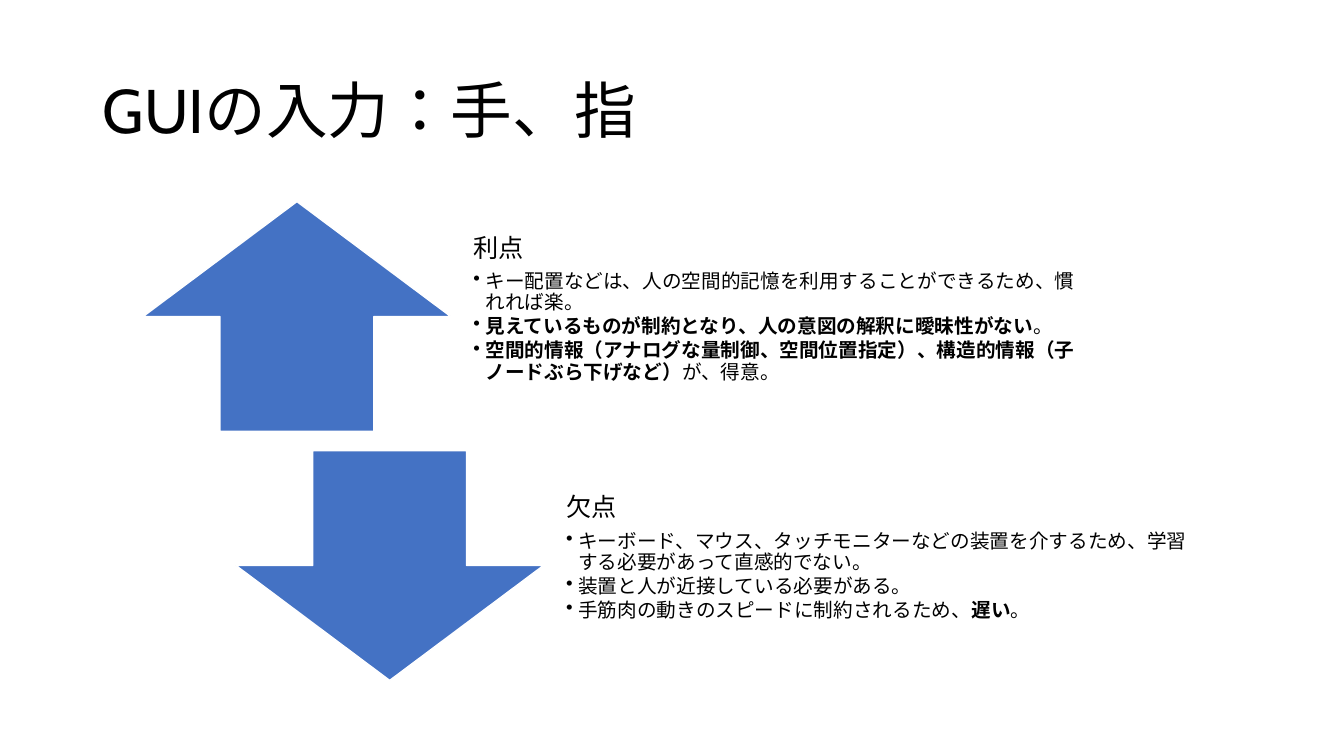
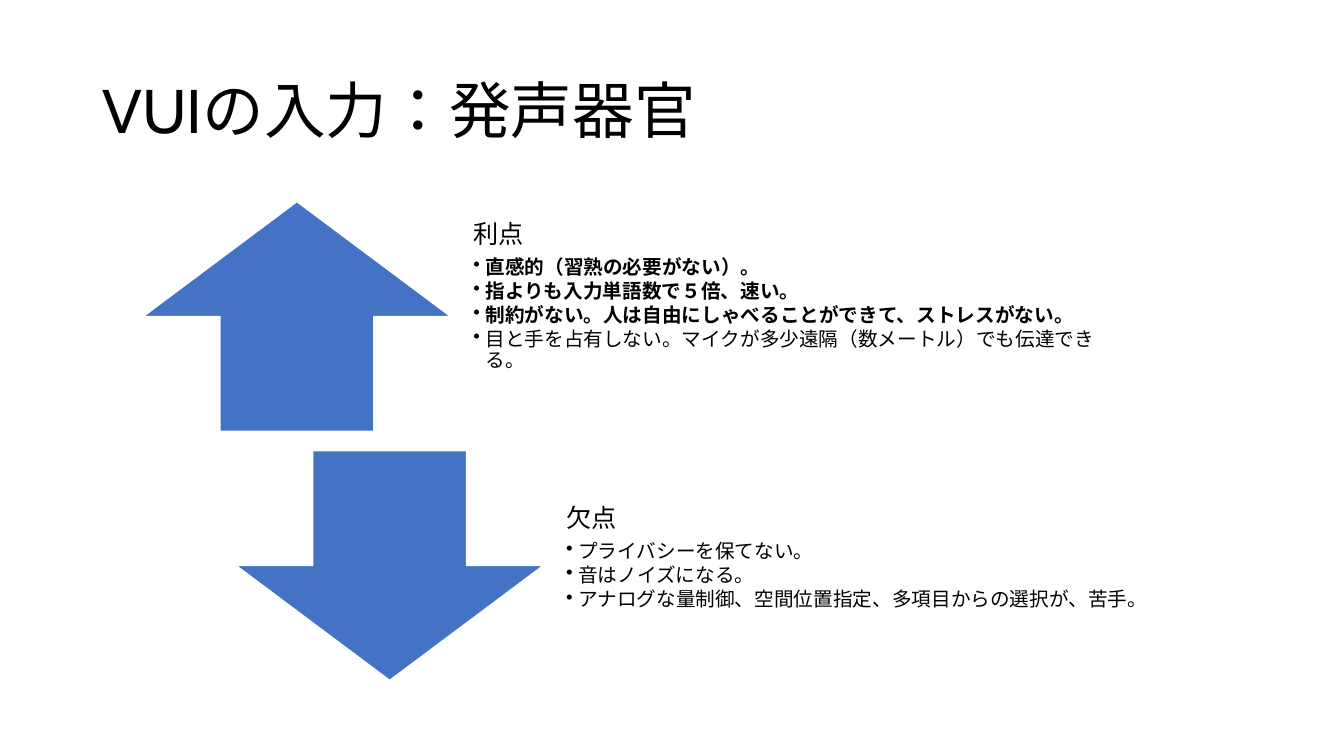
"""Build two slides weighing the strengths and weaknesses of GUI and VUI input."""
from dataclasses import dataclass

from lxml import etree
from pptx import Presentation
from pptx.dml.color import RGBColor
from pptx.enum import lang, shapes, text
from pptx.oxml import ns
from pptx.util import Inches, Pt


@dataclass(frozen=True)
class Theme:
    font: str = "Cabin"
    ink: RGBColor = RGBColor(0x00, 0x00, 0x00)
    accent: RGBColor = RGBColor(0x44, 0x72, 0xC4)
    paper: RGBColor = RGBColor(0xFF, 0xFF, 0xFF)
    title: float = 44
    heading: float = 18
    body: float = 14
    line_spacing: float = 0.9
    heading_after: float = 6.3
    body_after: float = 2.1
    bullet_indent: float = 0.12
    inset: float = 0.14


@dataclass(frozen=True)
class Span:
    text: str
    bold: bool = False


@dataclass(frozen=True)
class Side:
    heading: str
    arrow: shapes.MSO_SHAPE
    left: float
    top: float


@dataclass(frozen=True)
class Panel:
    side: Side
    bullets: list[list[Span]]
    lift: float = 0


@dataclass(frozen=True)
class Page:
    title: str
    panels: list[Panel]


THEME = Theme()
ARROW_W, PANEL_H, TEXT_W = 3.05, 2.28, 6.44
TEXT_OFFSET = 3.135
PROS = Side("利点", shapes.MSO_SHAPE.UP_ARROW, 1.42, 2)
CONS = Side("欠点", shapes.MSO_SHAPE.DOWN_ARROW, 2.34, 4.47)

PAGES = [
    Page("GUIの入力：手、指", [
        Panel(PROS, [
            [Span("キー配置などは、人の空間的記憶を利用することができるため、慣れれば楽。")],
            [Span("見えているものが制約となり、人の意図の解釈に曖昧性がない", True), Span("。")],
            [Span("空間的情報（アナログな量制御、空間位置指定）、構造的情報（子ノードぶら下げなど）", True),
             Span("が、得意。")],
        ]),
        Panel(CONS, [
            [Span("キーボード、マウス、タッチモニターなどの装置を介するため、学習する必要があって直感的でない。")],
            [Span("装置と人が近接している必要がある。")],
            [Span("手筋肉の動きのスピードに制約されるため、"), Span("遅い", True), Span("。")],
        ]),
    ]),
    Page("VUIの入力：発声器官", [
        Panel(PROS, [
            [Span("直感的（習熟の必要がない）。", True)],
            [Span("指よりも入力単語数で５倍、速い。", True)],
            [Span("制約がない。人は自由にしゃべることができて、ストレスがない。", True)],
            [Span("目と手を占有しない。マイクが多少遠隔（数メートル）でも伝達できる。")],
        ], lift=0.25),
        Panel(CONS, [
            [Span("プライバシーを保てない。")],
            [Span("音はノイズになる。")],
            [Span("アナログな量制御、空間位置指定、多項目からの選択が、苦手。")],
        ]),
    ]),
]


def add_box(s, left: float, top: float, width: float, height: float):
    """Add a wrapping, vertically centred text box and return its text frame."""
    sp = s.shapes.add_textbox(Inches(left), Inches(top), Inches(width), Inches(height))
    tf = sp.text_frame
    tf.word_wrap = True
    tf.vertical_anchor = text.MSO_ANCHOR.MIDDLE
    return tf


def write(p, spans: list[Span], size: float, after: float = 0) -> None:
    """Fill a paragraph with spans in the theme's type style."""
    p.line_spacing = THEME.line_spacing
    p.space_after = Pt(after)
    for span in spans:
        r = p.add_run()
        r.text = span.text
        r.font.name = THEME.font
        r.font.size = Pt(size)
        r.font.bold = span.bold
        r.font.color.rgb = THEME.ink
        r.font.language_id = lang.MSO_LANGUAGE_ID.JAPANESE


def add_bullet(p) -> None:
    """Give a paragraph a hanging bullet."""
    p.level = 1
    pPr = p._p.get_or_add_pPr()
    indent = Inches(THEME.bullet_indent)
    pPr.set("marL", str(indent))
    pPr.set("indent", str(-indent))
    etree.SubElement(pPr, ns.qn("a:buChar")).set("char", "•")


def add_panel(s, panel: Panel) -> None:
    """Draw an arrow with its heading and bullet list."""
    side = panel.side
    sp = s.shapes.add_shape(side.arrow, Inches(side.left), Inches(side.top),
                            Inches(ARROW_W), Inches(PANEL_H))
    sp.shadow.inherit = False
    sp.fill.solid()
    sp.fill.fore_color.rgb = THEME.accent
    sp.line.color.rgb = THEME.paper
    sp.line.width = Pt(1)

    tf = add_box(s, side.left + TEXT_OFFSET, side.top, TEXT_W, PANEL_H)
    tf.margin_left = tf.margin_right = Inches(THEME.inset)
    tf.margin_top = 0
    tf.margin_bottom = Inches(THEME.inset + panel.lift)
    write(tf.paragraphs[0], [Span(side.heading)], THEME.heading, THEME.heading_after)
    for spans in panel.bullets:
        p = tf.add_paragraph()
        write(p, spans, THEME.body, THEME.body_after)
        add_bullet(p)


def add_page(prs, page: Page) -> None:
    """Add a slide with its title and panels."""
    s = prs.slides.add_slide(prs.slide_layouts[6])
    tf = add_box(s, 0.92, 0.4, 11.5, 1.45)
    write(tf.paragraphs[0], [Span(page.title)], THEME.title)
    for panel in page.panels:
        add_panel(s, panel)


def main() -> None:
    """Build and save the presentation."""
    prs = Presentation()
    prs.slide_width, prs.slide_height = Inches(13.33), Inches(7.5)
    for page in PAGES:
        add_page(prs, page)
    prs.save("out.pptx")


main()
